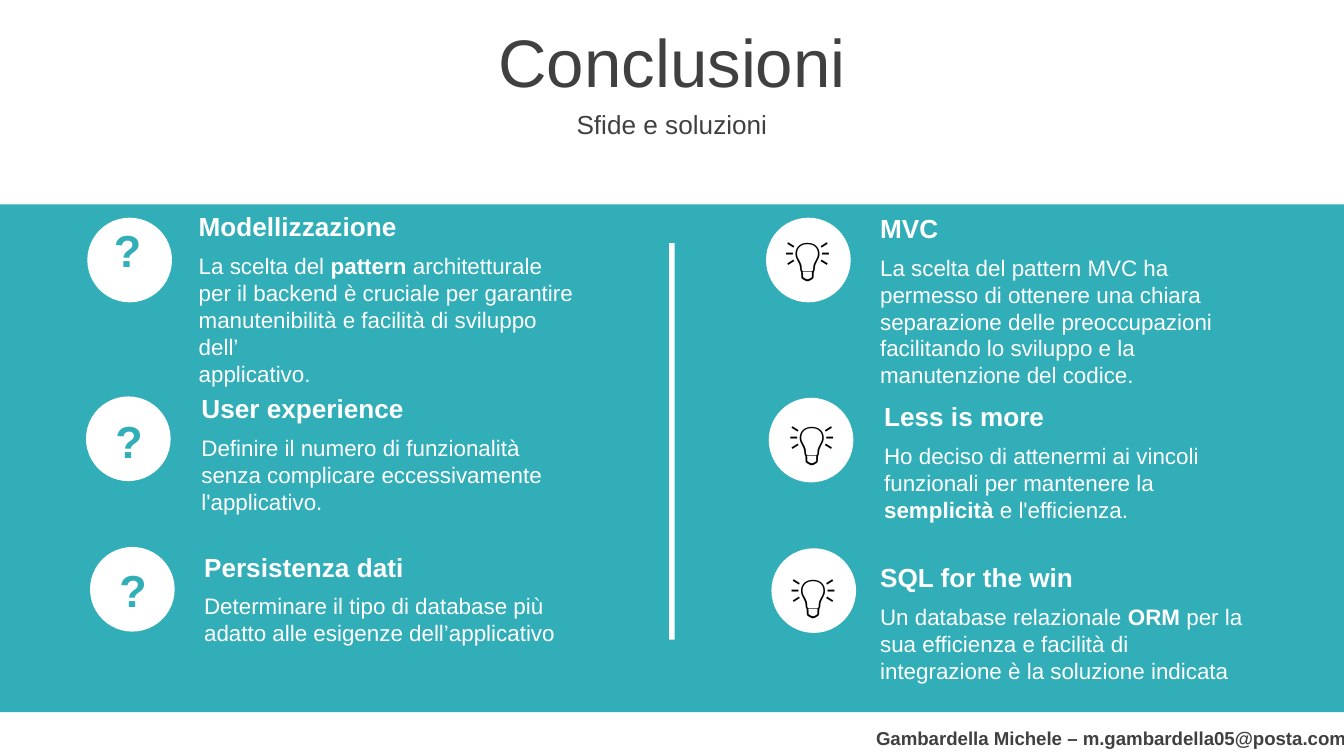
from pptx import Presentation
from pptx.dml.color import RGBColor
from pptx.enum.shapes import MSO_SHAPE
from pptx.enum.text import MSO_ANCHOR, PP_ALIGN
from pptx.util import Inches, Pt

TEAL = RGBColor(0x32, 0xAE, 0xB8)
WHITE = RGBColor(0xFF, 0xFF, 0xFF)
GRAY = RGBColor(0x40, 0x40, 0x40)
BLACK = RGBColor(0, 0, 0)

RECT = MSO_SHAPE.RECTANGLE
OVAL = MSO_SHAPE.OVAL
LEFT, CENTER = PP_ALIGN.LEFT, PP_ALIGN.CENTER
TOP, MIDDLE = MSO_ANCHOR.TOP, MSO_ANCHOR.MIDDLE

WIDE = 10
HIGH = WIDE * 9 / 16
DISC = 0.63
HEAD_GAP = 0.31


class Deck:
    def __init__(self, wide, high, font):
        self.prs = Presentation()
        self.prs.slide_width = Inches(wide)
        self.prs.slide_height = Inches(high)
        self.font = font
        self.slide = self.prs.slides.add_slide(self.prs.slide_layouts[6])

    def shape(self, kind, box, color):
        item = self.slide.shapes.add_shape(kind, *map(Inches, box))
        item.shadow.inherit = False
        item.fill.solid()
        item.fill.fore_color.rgb = color
        item.line.fill.background()

    def text(self, box, words, size, color, bold=False, align=LEFT, anchor=TOP):
        """Add a text box; newlines split paragraphs, ** marks bold parts."""
        frame = self.slide.shapes.add_textbox(*map(Inches, box)).text_frame
        frame.word_wrap = True
        frame.vertical_anchor = anchor
        for n, line in enumerate(words.split("\n")):
            para = frame.add_paragraph() if n else frame.paragraphs[0]
            para.alignment = align
            for i, part in enumerate(line.split("**")):
                run = para.add_run()
                run.text = part
                style = {"name": self.font, "size": Pt(size),
                         "bold": bold or i % 2 == 1}
                for key, value in style.items():
                    setattr(run.font, key, value)
                run.font.color.rgb = color

    def point(self, x, y, wide, lines, head, body):
        """Add a heading with its body text of a given number of lines."""
        self.text((x, y + HEAD_GAP, wide, 0.1 + 0.2 * lines), body, 12, WHITE)
        self.text((x, y, 2.91, 0.34), head, 14, WHITE, bold=True)

    def badge(self, disc, mark, sign, color, bold):
        """Add a white disc with a sign on it."""
        self.shape(OVAL, (*disc, DISC, DISC), WHITE)
        self.text((*mark, 0.7, 0.5), sign, 24, color, bold, CENTER)


POINTS = [
    (1.38, 1.52, 3.01, 4, "Modellizzazione",
     "La scelta del **pattern** architetturale per il backend è cruciale per "
     "garantire manutenibilità e facilità di sviluppo dell’\napplicativo."),
    (1.4, 2.87, 2.91, 3, "User experience",
     "Definire il numero di funzionalità senza complicare eccessivamente "
     "l'applicativo."),
    (1.42, 4.05, 2.91, 2, "Persistenza dati",
     "Determinare il tipo di database più adatto alle esigenze "
     "dell’applicativo"),
    (6.45, 1.53, 2.91, 5, "MVC",
     "La scelta del pattern MVC ha permesso di ottenere una chiara "
     "separazione delle preoccupazioni facilitando lo sviluppo e la "
     "manutenzione del codice."),
    (6.48, 2.93, 2.91, 3, "Less is more",
     "Ho deciso di attenermi ai vincoli funzionali per mantenere la "
     "**semplicità** e l'efficienza."),
    (6.45, 4.13, 2.91, 3, "SQL for the win",
     "Un database relazionale **ORM** per la sua efficienza e facilità di "
     "integrazione è la soluzione indicata"),
]

ASK = ("?", TEAL, True)
IDEA = ("💡", BLACK, False)
BADGES = [
    ((0.65, 1.62), (0.6, 1.61), ASK),
    ((0.64, 2.95), (0.61, 3.03), ASK),
    ((0.67, 4.07), (0.64, 4.14), ASK),
    ((5.7, 1.62), (5.66, 1.66), IDEA),
    ((5.72, 2.96), (5.69, 3.03), IDEA),
    ((5.74, 4.08), (5.7, 4.17), IDEA),
]


def main():
    deck = Deck(WIDE, HIGH, "Arial")
    deck.text((0, 0.14, WIDE, 0.63), "Conclusioni", 36, GRAY,
              align=CENTER, anchor=MIDDLE)
    deck.text((0, 0.77, WIDE, 0.31), "Sfide e soluzioni", 14, GRAY,
              align=CENTER, anchor=MIDDLE)
    deck.shape(RECT, (0, 1.52, WIDE, 3.78), TEAL)
    deck.shape(RECT, (4.98, 1.81, 0.04, 2.95), WHITE)
    for disc, mark, sign in BADGES:
        deck.badge(disc, mark, *sign)
    for point in POINTS:
        deck.point(*point)
    deck.text((6.42, 5.36, 3.86, 0.27),
              "Gambardella Michele – m.gambardella05@posta.com", 10, GRAY,
              bold=True)
    deck.prs.save("out.pptx")


if __name__ == "__main__":
    main()
